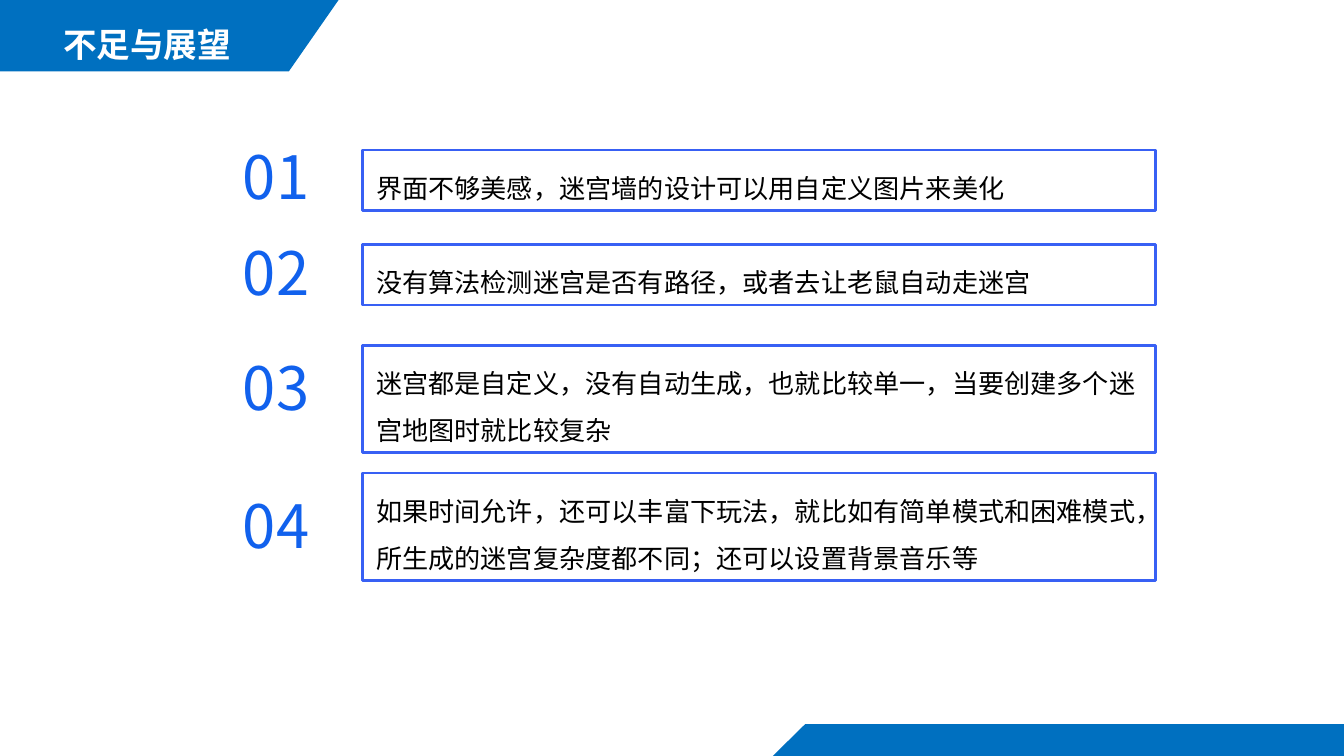
"""Build the shortcomings-and-outlook slide with four numbered points."""
from dataclasses import dataclass

from lxml import etree
from pptx import Presentation
from pptx import util as u
from pptx.dml.color import RGBColor
from pptx.enum import shapes, text
from pptx.oxml.ns import qn


@dataclass(frozen=True)
class Theme:
    font: str = "Noto Sans CJK SC"
    band: str = "0070C0"
    border: str = "3860F4"
    number: str = "1161ED"
    body: str = "000000"
    title: str = "FFFFFF"
    title_size: float = 18
    number_size: float = 32
    body_size: float = 14


class SlideBuilder:
    def __init__(self, slide, theme):
        self.slide = slide
        self.theme = theme

    def band(self, points):
        corners = [(u.Pt(x), u.Pt(y)) for x, y in points]
        builder = self.slide.shapes.build_freeform(*corners[0])
        builder.add_line_segments(corners[1:], close=True)
        shape = builder.convert_to_shape()
        shape.shadow.inherit = False
        shape.fill.solid()
        shape.fill.fore_color.rgb = RGBColor.from_string(self.theme.band)
        shape.line.fill.background()

    def set_text(self, shape, words, size, color, align, insets, spacing=1.0, bold=False):
        frame = shape.text_frame
        frame.word_wrap = True
        frame.margin_left = frame.margin_right = u.Pt(insets[0])
        frame.margin_top = frame.margin_bottom = u.Pt(insets[1])
        frame.vertical_anchor = text.MSO_ANCHOR.TOP
        paragraph = frame.paragraphs[0]
        paragraph.text = words
        paragraph.alignment = align
        paragraph.line_spacing = spacing
        font = paragraph.font
        font.name, font.size, font.bold = self.theme.font, u.Pt(size), bold
        font.color.rgb = RGBColor.from_string(color)
        properties = paragraph._p.pPr.find(qn("a:defRPr"))
        etree.SubElement(properties, qn("a:ea"), typeface=self.theme.font)
        return frame

    def label(self, words, left, top, width, height, **style):
        shape = self.slide.shapes.add_textbox(*map(u.Pt, (left, top, width, height)))
        return self.set_text(shape, words, align=text.PP_ALIGN.CENTER, **style)

    def title(self, words, left, top, width, height):
        self.label(words, left, top, width, height, size=self.theme.title_size,
                   color=self.theme.title, insets=(6, 3), spacing=1.25, bold=True)

    def number(self, words, left, top, width, height):
        frame = self.label(words, left, top, width, height, size=self.theme.number_size,
                           color=self.theme.number, insets=(0, 0))
        frame.vertical_anchor = text.MSO_ANCHOR.MIDDLE

    def box(self, words, left, top, width, height):
        shape = self.slide.shapes.add_shape(
            shapes.MSO_SHAPE.RECTANGLE, *map(u.Pt, (left, top, width, height)))
        shape.shadow.inherit = False
        shape.fill.background()
        shape.line.color.rgb = RGBColor.from_string(self.theme.border)
        shape.line.width = u.Pt(1.5)
        frame = self.set_text(shape, words, self.theme.body_size, self.theme.body,
                              text.PP_ALIGN.LEFT, (7.2, 3.6), 1.5)
        frame.auto_size = text.MSO_AUTO_SIZE.SHAPE_TO_FIT_TEXT


def main():
    presentation = Presentation()
    presentation.slide_width, presentation.slide_height = u.Pt(720), u.Pt(405)
    slide = presentation.slides.add_slide(presentation.slide_layouts[6])
    builder = SlideBuilder(slide, Theme())

    builder.band([(0, 0), (181.4, 0), (154.8, 38.2), (0, 38.2)])
    builder.title("不足与展望", 14.4, 4.3, 128.9, 32.4)
    builder.band([(414, 405), (431.3, 388), (720, 388), (720, 405)])

    one_line, two_lines = 32.4, 57.6
    points = [
        ("界面不够美感，迷宫墙的设计可以用自定义图片来美化", 80.4, one_line, 79.9),
        ("没有算法检测迷宫是否有路径，或者去让老鼠自动走迷宫", 131, one_line, 131),
        ("迷宫都是自定义，没有自动生成，也就比较单一，当要创建多个迷宫地图时就比较复杂",
         185, two_lines, 193),
        ("如果时间允许，还可以丰富下玩法，就比如有简单模式和困难模式，"
         "所生成的迷宫复杂度都不同；还可以设置背景音乐等", 253.4, two_lines, 266.8),
    ]
    for index, (words, top, height, number_top) in enumerate(points, 1):
        builder.number(f"{index:02}", 115.2, number_top, 65.5, 28.6)
        builder.box(words, 194.4, top, 424.8, height)

    presentation.save("out.pptx")


if __name__ == "__main__":
    main()
